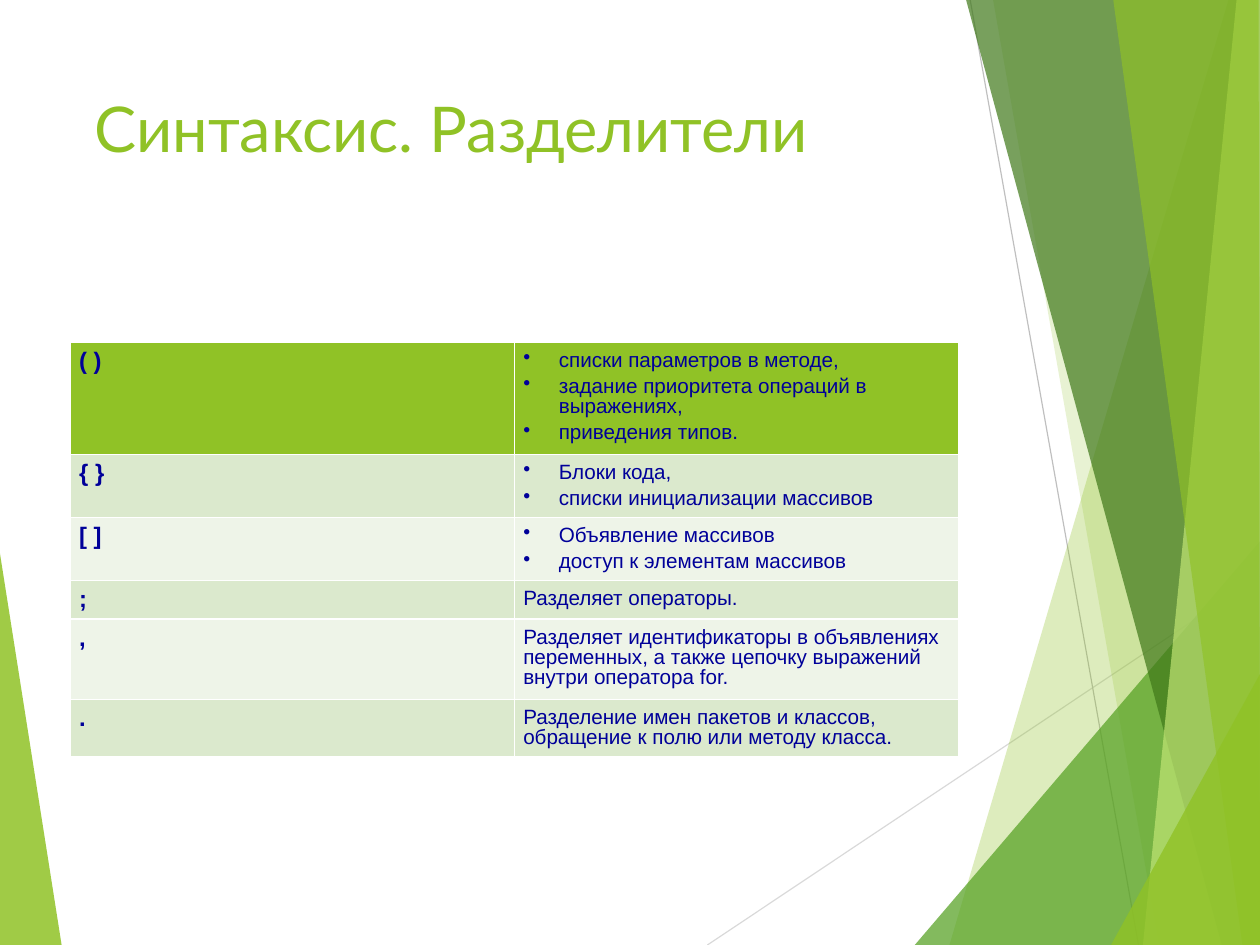
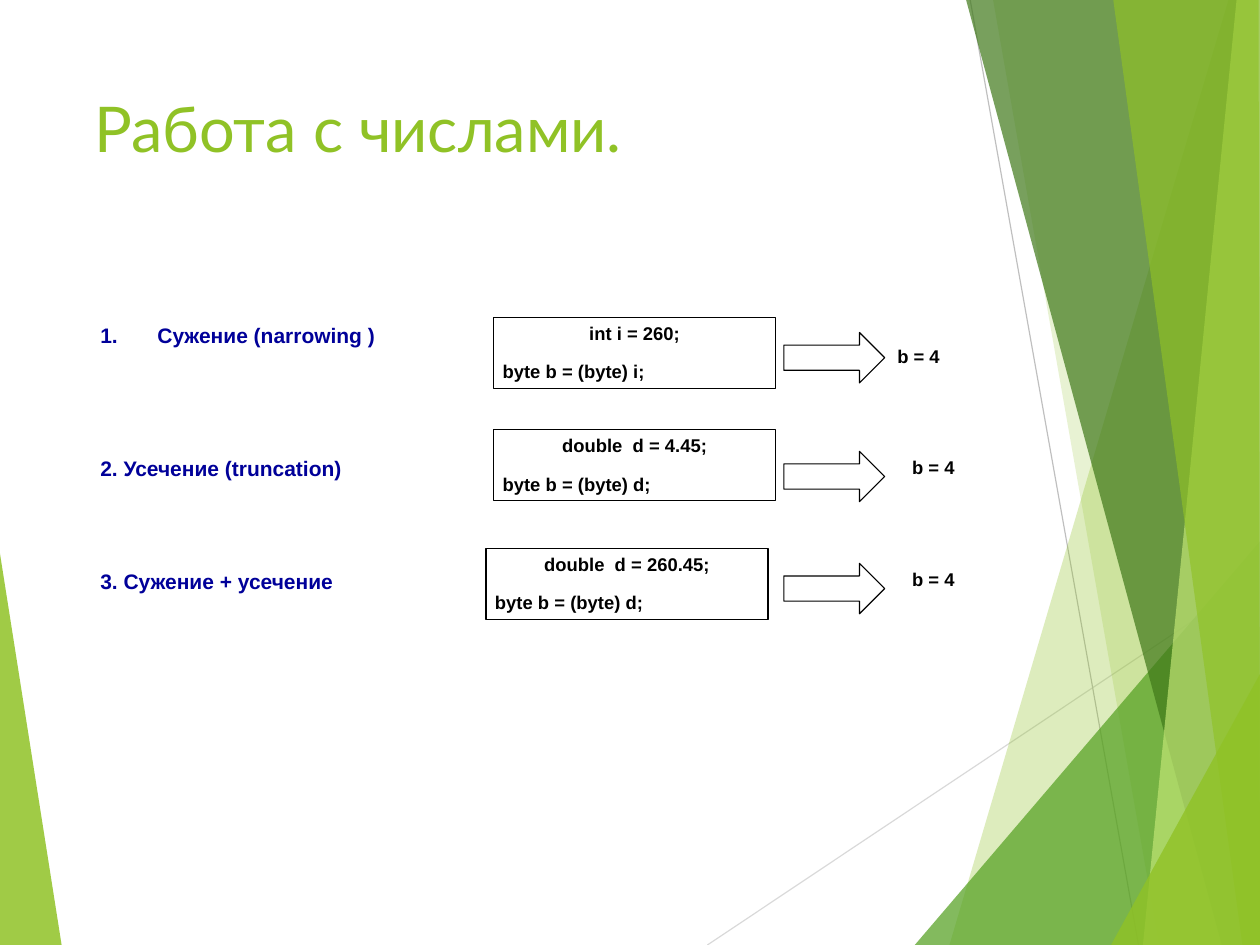
from lxml.etree import SubElement
from pptx import Presentation
from pptx.dml.color import RGBColor
from pptx.enum.shapes import MSO_CONNECTOR, MSO_SHAPE
from pptx.enum.text import MSO_ANCHOR, MSO_AUTO_SIZE
from pptx.oxml.ns import qn
from pptx.util import Cm, Pt

LIME = RGBColor(0x90, 0xC2, 0x26)
GREEN = RGBColor(0x54, 0xA0, 0x21)
FOREST = RGBColor(0x3F, 0x78, 0x19)
PALE_LIME = RGBColor(0xC0, 0xE4, 0x74)
NAVY = RGBColor(0x00, 0x00, 0x99)
BLACK = RGBColor(0, 0, 0)
WHITE = RGBColor(0xFF, 0xFF, 0xFF)
BAND_DARK = RGBColor(0xDB, 0xE9, 0xCD)
BAND_LIGHT = RGBColor(0xEE, 0xF4, 0xE8)
LIGHT_GREY = RGBColor(0xD9, 0xD9, 0xD9)
GREY = RGBColor(0xBF, 0xBF, 0xBF)

WIDTH, HEIGHT = 28, 21  # all lengths are in centimetres
BODY_FONT, TITLE_FONT = "Arial", "Lato"

# Backdrop: fill, opacity in percent, corners
LEFT_FACET = (LIME, 85, [(0, 12.3), (1.37, HEIGHT), (0, HEIGHT)])
RIGHT_FACETS = [
    (LIME, 30, [(27.3, 0), (21.1, HEIGHT), (WIDTH, HEIGHT), (WIDTH, 0)]),
    (LIME, 20, [(22.07, 0), (25.76, HEIGHT), (WIDTH, HEIGHT), (WIDTH, 0)]),
    (GREEN, 72, [(20.33, HEIGHT), (WIDTH, 12.03), (WIDTH, HEIGHT)]),
    (FOREST, 70, [(21.47, 0), (27.15, HEIGHT), (WIDTH, HEIGHT), (WIDTH, 0)]),
    (PALE_LIME, 70, [(27.48, 0), (25.4, HEIGHT), (WIDTH, HEIGHT), (WIDTH, 0)]),
    (LIME, 65, [(24.74, 0), (27.61, HEIGHT), (WIDTH, HEIGHT), (27.97, 0)]),
    (LIME, 80, [(24.69, HEIGHT), (WIDTH, 14.98), (WIDTH, HEIGHT)]),
]
BACKDROP_LINES = [
    (LIGHT_GREY, (15.72, HEIGHT), (WIDTH, 12.8)),
    (GREY, (21.56, 0), (25.3, HEIGHT)),
]

SEPARATORS_TITLE = "Синтаксис. Разделители"
# Sign, its uses, row height; several uses make a bulleted list
SEPARATORS = [
    ("( )", ["списки параметров в методе,",
             "задание приоритета операций в выражениях,",
             "приведения типов."], 2.49),
    ("{ }", ["Блоки кода,", "списки инициализации массивов"], 1.4),
    ("[ ]", ["Объявление массивов", "доступ к элементам массивов"], 1.4),
    (";", ["Разделяет операторы."], 0.86),
    (",", ["Разделяет идентификаторы в объявлениях переменных, а также "
           "цепочку выражений внутри оператора for."], 1.78),
    (".", ["Разделение имен пакетов и классов, обращение к полю или методу "
           "класса."], 1.27),
]

NUMBERS_TITLE = "Работа с числами."
NUMBERED = {"bullet": "arabicPeriod", "indent": 1.27, "line_spacing": 0.75}
# Each place is (left, top)
CONVERSIONS = [
    {"label": "Сужение (narrowing )", "label_at": (2.03, 7.21),
     "label_format": NUMBERED,
     "code": ["int i = 260;", "byte b = (byte) i;"], "code_at": (10.97, 7.06),
     "arrow_at": (17.42, 7.39), "result_at": (19.74, 7.57)},
    {"label": "2. Усечение (truncation)", "label_at": (2.03, 10.03),
     "label_format": {"indent": 0.95},
     "code": ["double  d = 4.45;", "byte b = (byte) d;"],
     "code_at": (10.97, 9.55),
     "arrow_at": (17.42, 10.03), "result_at": (20.07, 10.03)},
    {"label": "3. Сужение + усечение", "label_at": (2.03, 12.67),
     "label_format": {"indent": 1.27, "line_spacing": 0.75},
     "code": ["double  d = 260.45;", "byte b = (byte) d;"],
     "code_at": (10.8, 12.19),
     "arrow_at": (17.42, 12.52), "result_at": (20.07, 12.52)},
]
RESULT = "b = 4"


def write(frame, lines, size, color, font=BODY_FONT, bold=False, before=0,
          line_spacing=None, indent=0, bullet=None,
          margins=(0.2, 0.1, 0.2, 0.1)):
    """Fill a text frame or table cell, one paragraph per line.

    bullet is a single sign or the name of a numbering scheme.
    """
    (frame.margin_left, frame.margin_top,
     frame.margin_right, frame.margin_bottom) = map(Cm, margins)
    frame.vertical_anchor = MSO_ANCHOR.TOP
    frame.word_wrap = True
    body = getattr(frame, "text_frame", frame)
    for index, line in enumerate(lines):
        para = body.add_paragraph() if index else body.paragraphs[0]
        para.space_before = Pt(before)
        if line_spacing:
            para.line_spacing = line_spacing
        properties = para._p.get_or_add_pPr()
        if indent:
            properties.set("marL", str(Cm(indent)))
            properties.set("indent", str(-Cm(indent)))
        if bullet and len(bullet) == 1:
            SubElement(properties, qn("a:buChar"), char=bullet)
        elif bullet:
            SubElement(properties, qn("a:buAutoNum"), type=bullet)
        span = para.add_run()
        span.text = line
        span.font.name = font
        span.font.size = Pt(size)
        span.font.bold = bold
        span.font.color.rgb = color


def add_facet(page, color, opacity, corners):
    points = [(Cm(x), Cm(y)) for x, y in corners]
    builder = page.shapes.build_freeform(*points[0], scale=1.0)
    builder.add_line_segments(points[1:], close=True)
    facet = builder.convert_to_shape()
    facet.shadow.inherit = False
    facet.line.fill.background()
    facet.fill.solid()
    facet.fill.fore_color.rgb = color
    tone = facet._element.spPr.find(".//" + qn("a:srgbClr"))
    SubElement(tone, qn("a:alpha"), val=str(opacity * 1000))


def add_backdrop_line(page, color, start, end):
    line = page.shapes.add_connector(
        MSO_CONNECTOR.STRAIGHT, *map(Cm, start + end))
    line.line.color.rgb = color
    line.line.width = Pt(0.75)
    SubElement(line._element.spPr, qn("a:effectLst"))


def add_text(page, lines, place, size, **text_format):
    box = page.shapes.add_textbox(*map(Cm, place))
    write(box.text_frame, lines, **text_format, size=size)
    return box


def add_outline(page, kind, place):
    shape = page.shapes.add_shape(kind, *map(Cm, place))
    shape.shadow.inherit = False
    shape.fill.background()
    shape.line.color.rgb = BLACK
    shape.line.width = Pt(0.75)
    return shape


def add_page(deck, title):
    """Add a blank page with the shared backdrop and title."""
    page = deck.slides.add_slide(deck.slide_layouts[6])
    add_facet(page, *LEFT_FACET)
    for line in BACKDROP_LINES:
        add_backdrop_line(page, *line)
    for facet in RIGHT_FACETS:
        add_facet(page, *facet)
    add_text(page, [title], (1.85, 1.85, 19.43, 4.04), 39.7, color=LIME,
             font=TITLE_FONT, margins=(0.25, 0.13, 0.25, 0.13))
    return page


def style_cell(cell, color):
    """Give a cell white borders and a plain fill."""
    properties = cell._tc.get_or_add_tcPr()
    for side in ("lnL", "lnR", "lnT", "lnB"):
        border = SubElement(properties, qn("a:" + side), w=str(Pt(1)))
        paint = SubElement(border, qn("a:solidFill"))
        SubElement(paint, qn("a:srgbClr"), val=str(WHITE))
    cell.fill.solid()
    cell.fill.fore_color.rgb = color


def add_separator_table(page):
    heights = [height for _, _, height in SEPARATORS]
    place = (1.56, 7.6, 19.74, sum(heights))
    table = page.shapes.add_table(len(SEPARATORS), 2, *map(Cm, place)).table
    table.first_row = table.horz_banding = False
    shared = {"color": NAVY, "line_spacing": 0.87,
              "margins": (0.2, 0.2, 0.2, 0.1)}
    for index, (sign, uses, height) in enumerate(SEPARATORS):
        table.rows[index].height = Cm(height)
        band = BAND_DARK if index % 2 else BAND_LIGHT
        sign_cell, uses_cell = table.rows[index].cells
        for cell in (sign_cell, uses_cell):
            style_cell(cell, band if index else LIME)
        listing = {"bullet": "•", "indent": 0.79} if len(uses) > 1 else {}
        write(sign_cell, [sign], 15, bold=True, before=4.5, **shared)
        write(uses_cell, uses, 13, before=4, **shared, **listing)


def add_conversion(page, row):
    code_format = {"size": 11.6, "color": BLACK, "bold": True,
                   "before": 10.3, "indent": 0.95}
    code = add_outline(page, MSO_SHAPE.RECTANGLE, row["code_at"] + (6.27, 1.57))
    write(code.text_frame, row["code"], **code_format)
    label = add_text(page, [row["label"]], row["label_at"] + (8.94, 0.64), 13.2,
                     color=NAVY, bold=True, before=12.4, **row["label_format"])
    add_outline(page, MSO_SHAPE.RIGHT_ARROW, row["arrow_at"] + (2.24, 1.12))
    result = add_text(page, [RESULT], row["result_at"] + (2.1, 0.71),
                      **code_format)
    for box in (code, label, result):
        box.text_frame.auto_size = MSO_AUTO_SIZE.SHAPE_TO_FIT_TEXT


def main():
    deck = Presentation()
    deck.slide_width, deck.slide_height = Cm(WIDTH), Cm(HEIGHT)
    add_separator_table(add_page(deck, SEPARATORS_TITLE))
    numbers_page = add_page(deck, NUMBERS_TITLE)
    for row in CONVERSIONS:
        add_conversion(numbers_page, row)
    deck.save("out.pptx")


if __name__ == "__main__":
    main()
